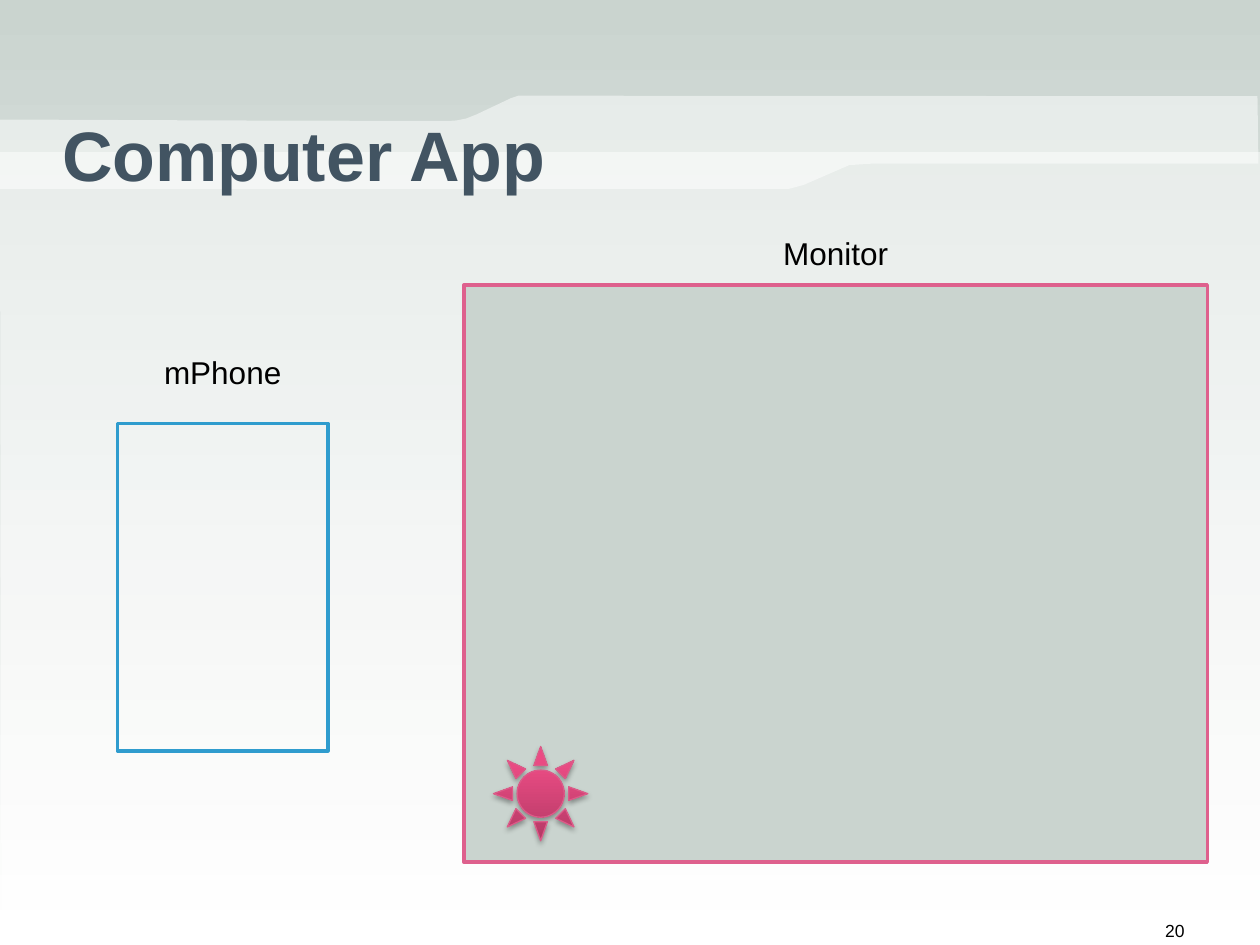
import pptx
import pptx.dml.color
import pptx.enum.shapes
import pptx.enum.text
import pptx.oxml
import pptx.oxml.ns
import pptx.util
from lxml import etree

Cm = pptx.util.Cm
Pt = pptx.util.Pt
qn = pptx.oxml.ns.qn
SHAPE = pptx.enum.shapes.MSO_SHAPE
ALIGN = pptx.enum.text.PP_ALIGN
ANCHOR = pptx.enum.text.MSO_ANCHOR
AUTO_SIZE = pptx.enum.text.MSO_AUTO_SIZE

COLORS = {
    "sage": "CAD4CF", "white": "FFFFFF", "black": "000000", "slate": "425462",
    "blue": "2F9CCE", "pink": "DE608D", "sun_edge": "DC5B89",
    "sun_dark": "B43A65", "sun_mid": "E94B83", "sun_light": "EE4883",
}
TITLE_FONT = {"name": "Arial", "size": Pt(40), "bold": True}
LABEL_FONT = {"name": "Arial", "size": Pt(18)}
NUMBER_FONT = {"name": "Arial", "size": Pt(10)}

LOWER_BAND = [(0.03, 15.95), (25.48, 15.98), (25.4, 0), (0, 0)]
UPPER_BAND = [
    (25.35, 0.04), (10.82, 0.03), (10.45, 0.03), (10.3, 0.08), (9.6, 0.41),
    (9.4, 0.49), (9.2, 0.53), (9.04, 0.54), (4.5, 0.53), (0, 0.51),
    (0, 1.91), (15.9, 1.91), (16.2, 1.83), (17.12, 1.43), (17.58, 1.4),
    (25.37, 1.4),
]


def rgb(name):
    return pptx.dml.color.RGBColor.from_string(COLORS[name])


def add_color(parent, name, alpha=None):
    color = etree.SubElement(parent, qn("a:srgbClr"), val=COLORS[name])
    if alpha is not None:
        etree.SubElement(color, qn("a:alpha"), val=str(alpha * 1000))


def set_gradient(fill, element, stops, angle):
    fill.gradient()
    fill.gradient_angle = angle
    stop_list = element.find(".//" + qn("a:gsLst"))
    for old_stop in list(stop_list):
        stop_list.remove(old_stop)
    for position, name in stops:
        stop = etree.SubElement(stop_list, qn("a:gs"), pos=str(position * 1000))
        add_color(stop, name)


def write(frame, text, align, font, color):
    frame.text = text
    paragraph = frame.paragraphs[0]
    paragraph.alignment = align
    for attribute, value in font.items():
        setattr(paragraph.font, attribute, value)
    paragraph.font.color.rgb = rgb(color)


def add_band(slide, top, points):
    corners = [(Cm(x), Cm(top + y)) for x, y in points]
    builder = slide.shapes.build_freeform(*corners[0])
    builder.add_line_segments(corners[1:], close=True)
    band = builder.convert_to_shape()
    band.shadow.inherit = False
    band.line.fill.background()
    band.fill.solid()
    band.fill.fore_color.rgb = rgb("white")
    color = band._element.spPr.find(qn("a:solidFill"))[0]
    etree.SubElement(color, qn("a:alpha"), val="50000")


def add_backdrop(slide):
    set_gradient(slide.background.fill, slide._element,
                 [(0, "sage"), (100, "white")], 270)
    add_band(slide, 3.07, LOWER_BAND)
    add_band(slide, 1.9, UPPER_BAND)


def add_title(slide, left, top, width, height):
    title = slide.shapes.title
    slide.shapes._spTree.append(title._element)
    box = {"left": left, "top": top, "width": width, "height": height}
    for attribute, value in box.items():
        setattr(title, attribute, Cm(value))
    title.text_frame.vertical_anchor = ANCHOR.MIDDLE
    title.text_frame.auto_size = AUTO_SIZE.NONE
    write(title.text_frame, "Computer App", ALIGN.LEFT, TITLE_FONT, "slate")


def add_page_number(slide, left, top, width, height):
    number = slide.shapes.add_textbox(Cm(left), Cm(top), Cm(width), Cm(height))
    number.text_frame.word_wrap = True
    write(number.text_frame, "20", ALIGN.RIGHT, NUMBER_FONT, "black")


def add_device(slide, left, top, width, height, name, gap, edge, screen=None):
    device = slide.shapes.add_shape(
        SHAPE.RECTANGLE, Cm(left), Cm(top), Cm(width), Cm(height))
    device.shadow.inherit = False
    device.line.color.rgb = rgb(edge)
    device.line.width = Pt(2)
    if screen:
        device.fill.solid()
        device.fill.fore_color.rgb = rgb(screen)
    else:
        device.fill.background()
    label_width, label_height = 3.2, 1.02
    label = slide.shapes.add_textbox(
        Cm(left + (width - label_width) / 2), Cm(top - gap - label_height),
        Cm(label_width), Cm(label_height))
    label.text_frame.word_wrap = False
    label.text_frame.auto_size = AUTO_SIZE.SHAPE_TO_FIT_TEXT
    write(label.text_frame, name, ALIGN.CENTER, LABEL_FONT, "black")


def add_sun(slide, left, top, size):
    sun = slide.shapes.add_shape(
        SHAPE.SUN, Cm(left), Cm(top), Cm(size), Cm(size))
    set_gradient(sun.fill, sun._element,
                 [(0, "sun_dark"), (80, "sun_mid"), (100, "sun_light")], 90)
    sun.line.color.rgb = rgb("sun_edge")
    sun.line.width = Pt(0.75)
    sun.shadow.inherit = False
    effects = sun._element.spPr.find(qn("a:effectLst"))
    shadow = etree.SubElement(
        effects, qn("a:outerShdw"), blurRad=str(Pt(3.1)), dist=str(Pt(1.8)),
        dir="5400000", rotWithShape="0")
    add_color(shadow, "black", 35)


def add_monitor(slide, left, top, width, height):
    add_device(slide, left, top, width, height, "Monitor", 0.13, "pink", "sage")
    add_sun(slide, left + 0.6, top + height - 2.33, 1.9)


def main():
    deck = pptx.Presentation()
    deck.slide_width, deck.slide_height = Cm(25.4), Cm(19.05)
    slide = deck.slides.add_slide(deck.slide_layouts[5])
    add_backdrop(slide)
    add_title(slide, 1, 2.16, 23.34, 1.88)
    add_page_number(slide, 18.21, 18.42, 5.92, 0.46)
    add_device(slide, 2.37, 8.54, 4.24, 6.6, "mPhone", 0.53, "blue")
    add_monitor(slide, 9.35, 5.75, 14.99, 11.63)
    deck.save("out.pptx")


if __name__ == "__main__":
    main()
